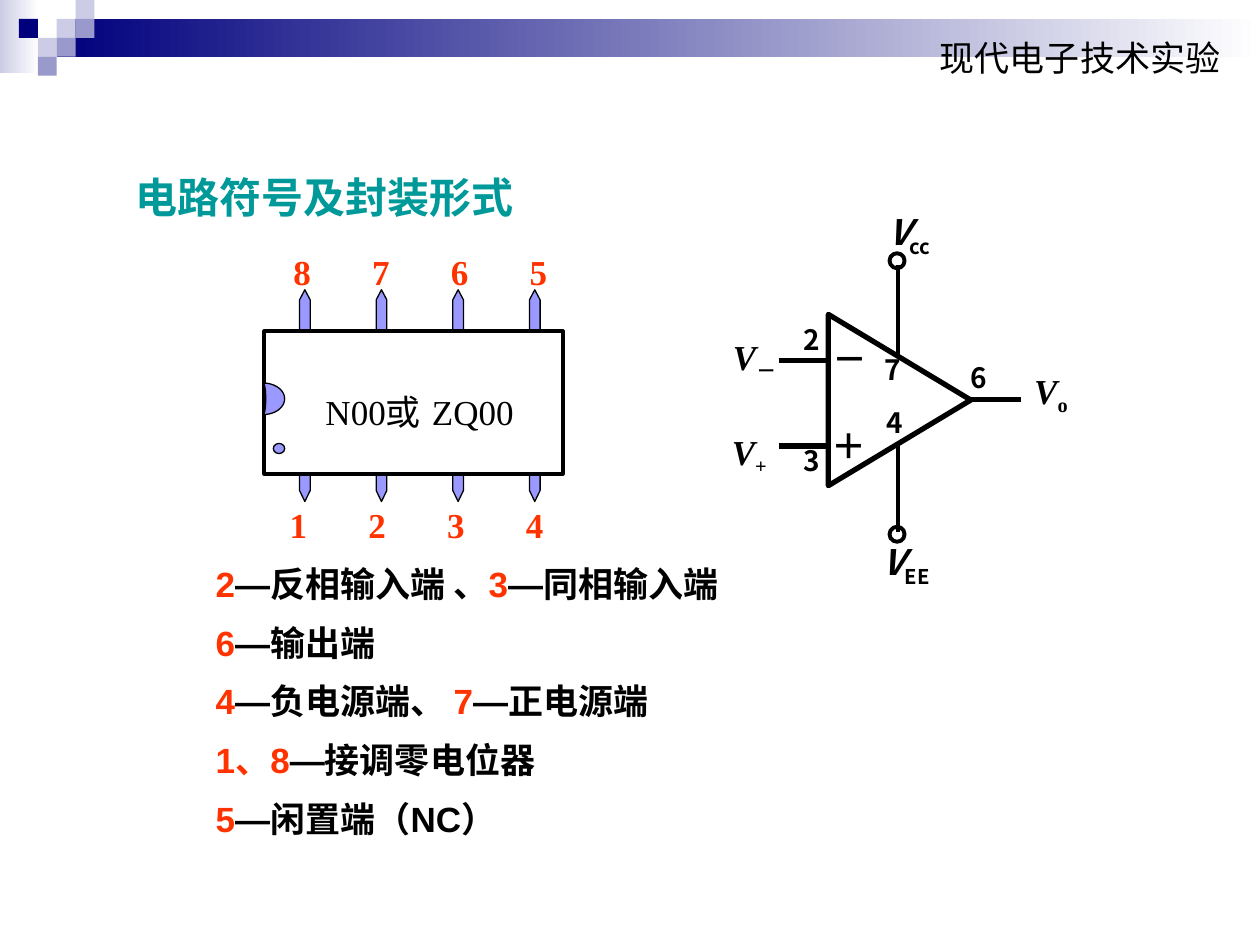
from dataclasses import dataclass
from math import cos, pi, sin

from lxml import etree
from pptx import Presentation
from pptx.dml.color import RGBColor
from pptx.enum import shapes, text
from pptx.oxml.ns import qn
from pptx.util import Pt


@dataclass(frozen=True)
class Theme:
    """Colours, fonts and type sizes."""
    ink: str = "000000"
    paper: str = "FFFFFF"
    navy: str = "00007D"
    pale: str = "CCCCE6"
    mid: str = "9999CC"
    pin: str = "9999FF"
    red: str = "FF3300"
    teal: str = "009999"
    sans: str = "Arial"
    serif: str = "Times New Roman"
    noto: str = "Noto Sans CJK SC"
    small: int = 16
    body: int = 20
    title: int = 24
    wide: int = 28


T = Theme()
KIND = shapes.MSO_SHAPE


def rgb(code):
    """Turn a hex code into a colour."""
    return RGBColor.from_string(code)


def add(par, words, face=T.sans, size=T.body, ink=T.ink, bold=True, slant=False, sub=False):
    """Add one run to a paragraph."""
    run = par.add_run()
    run.text = words
    font = run.font
    font.name, font.size, font.bold, font.italic = face, Pt(size), bold, slant
    font.color.rgb = rgb(ink)
    if sub:
        run._r.get_or_add_rPr().set("baseline", "-25000")


def pane(slide, box):
    """Add a wrapping text box and return its frame."""
    frame = slide.shapes.add_textbox(*map(Pt, box)).text_frame
    frame.word_wrap = True
    return frame


def label(slide, box, words, **style):
    """Add a text box with a single run."""
    add(pane(slide, box).paragraphs[0], words, **style)


def paint(shape, fill=None, line=None):
    """Set fill and line width of a shape, without shadow."""
    shape.shadow.inherit = False
    if fill:
        shape.fill.solid()
        shape.fill.fore_color.rgb = rgb(fill)
    else:
        shape.fill.background()
    if line:
        shape.line.color.rgb = rgb(T.ink)
        shape.line.width = Pt(line)
    else:
        shape.line.fill.background()
    return shape


def form(slide, kind, box, fill=None, line=None):
    """Add a preset shape."""
    return paint(slide.shapes.add_shape(kind, *map(Pt, box)), fill, line)


def outline(slide, dots, fill, line):
    """Add a closed freeform through the given points."""
    dots = [(Pt(x), Pt(y)) for x, y in dots]
    build = slide.shapes.build_freeform(*dots[0], scale=1.0)
    build.add_line_segments(dots[1:], close=True)
    return paint(build.convert_to_shape(), fill, line)


def wire(slide, ends, width):
    """Add a straight line."""
    line = slide.shapes.add_connector(shapes.MSO_CONNECTOR.STRAIGHT, *map(Pt, ends))
    line.line.color.rgb = rgb(T.ink)
    line.line.width = Pt(width)
    etree.SubElement(line._element.spPr, qn("a:effectLst"))


def fade(slide, box, first):
    """Add a bar that fades to the paper colour."""
    bar = form(slide, KIND.RECTANGLE, box, first)
    bar.fill.gradient()
    bar.fill.gradient_angle = 0
    for stop, ink in zip(bar.fill.gradient_stops, (first, T.paper)):
        stop.color.rgb = rgb(ink)


def banner(slide, box):
    """Draw the top band with its squares and the course name."""
    x, y, w, h = box
    side = 10.8
    fade(slide, (x, y, 22.3, h), T.pale)
    fade(slide, (x + 32.4, y + side, w - 32.4, 2 * side), T.navy)
    cells = ((3, 1, T.pale), (4, 0, T.pale), (4, 1, T.mid), (2, 2, T.pale),
             (1, 1, T.navy), (3, 2, T.mid), (2, 3, T.mid))
    for col, row, ink in cells:
        spot = (x + col * side, y + row * side, side, side)
        form(slide, KIND.RECTANGLE, spot, ink)
    label(slide, (x + 530, y + 17.3, 175.7, 31.7), "现代电子技术实验", bold=False)


def row(slide, box, marks, step):
    """Write pin numbers at equal tab stops."""
    par = pane(slide, box).paragraphs[0]
    tabs = etree.SubElement(par._p.get_or_add_pPr(), qn("a:tabLst"))
    for i in range(1, len(marks)):
        etree.SubElement(tabs, qn("a:tab"), pos=str(Pt(i * step)), algn="l")
    add(par, "\t".join(marks), face=T.serif, ink=T.red)


def chip(slide, box):
    """Draw the eight-pin package."""
    x, y, w, h = box
    half = 3.05
    for base, neck, tip in ((49.4, 31.4, 25.6), (130, 140.3, 146.6)):
        for i in range(4):
            mid = x + 24.2 + 43.8 * i
            dots = ((half, base), (half, neck), (0, tip), (-half, neck), (-half, base))
            outline(slide, [(mid + dx, y + dy) for dx, dy in dots], T.pin, 0.75)
    body = form(slide, KIND.RECTANGLE, (x + 1, y + 49.4, w, 81.4), T.paper, 2.25)
    frame = body.text_frame
    frame.word_wrap = True
    frame.vertical_anchor = text.MSO_ANCHOR.TOP
    frame.margin_left, frame.margin_top = Pt(35), Pt(25.7)
    par = frame.paragraphs[0]
    par.alignment = text.PP_ALIGN.LEFT
    for words, size in (("N00或", T.body), (" ", T.wide), ("ZQ00", T.body)):
        add(par, words, face=T.serif, size=size, bold=False)
    turns = [pi * i / 24 - pi / 2 for i in range(25)]
    arc = [(12.2 * cos(a), 9 * sin(a)) for a in turns]
    arc += [(1.4 * cos(a), 9 * sin(a)) for a in turns[-2:0:-1]]
    outline(slide, [(x + 0.5 + dx, y + 87.9 + dy) for dx, dy in arc], T.pin, 0.75)
    form(slide, KIND.OVAL, (x + 6.2, y + 113.4, 6.5, 5.8), T.pin, 0.75)
    row(slide, (x + 10.6, y - 0.3, 160, 31.7), "8765", 45)
    row(slide, (x + 8.4, y + 144.4, 161, 31.7), "1234", 45)


def amp(slide, box):
    """Draw the amplifier symbol with its terminals."""
    x, y, w, h = box
    form(slide, KIND.ISOSCELES_TRIANGLE, (x + 55.1, y + 71.9, 97.9, 81.4), line=3).rotation = 90
    for left, right, level in ((35, 63.8, 89.9), (35, 63.8, 138.9), (145.1, 173.2, 112.2)):
        wire(slide, (x + left, y + level, x + right, y + level), 3)
    for start, end, ring in ((86.3, 35.2, 28.7), (187.8, 136.7, 185)):
        wire(slide, (x + 103.2, y + start, x + 103.2, y + end), 2.25)
        form(slide, KIND.OVAL, (x + 98.3, y + ring, 8.6, 8.6), line=2.25)
    for sign, dx, dy in (("＋", 58, 123), ("－", 58.7, 73.4)):
        label(slide, (x + dx, y + dy, 43.2, 31.7), sign, face=T.serif)
    pins = (("2", 42.2, 64.7), ("3", 42.2, 133.8), ("4", 89.7, 112.2),
            ("6", 137.2, 86.3), ("7", 88.2, 82))
    for mark, dx, dy in pins:
        label(slide, (x + dx, y + dy, 23, 26.6), mark, face=T.noto, size=T.small)
    volts = (("－", 1.8, 71.9, 72, T.serif), ("+", 1.1, 126.2, 52.6, T.serif),
             ("o", 173.9, 91.4, 42.5, T.serif), ("cc", 90.4, 0.6, 45.4, T.noto),
             ("EE", 87.5, 189.3, 45.4, T.noto))
    for low, dx, dy, wide, face in volts:
        par = pane(slide, (x + dx, y + dy, wide, 34.6)).paragraphs[0]
        add(par, "V", face=face, slant=True)
        add(par, low, face=face, sub=True)


def legend(slide, box):
    """List what each pin does."""
    lines = (
        (("2", "—反相输入端 、"), ("3", "—同相输入端")),
        (("6", "—输出端"),),
        (("4", "—负电源端、 "), ("7", "—正电源端")),
        (("1、8", "—接调零电位器"),),
        (("5", "—闲置端（NC）"),),
    )
    frame = pane(slide, box)
    for i, line in enumerate(lines):
        par = frame.add_paragraph() if i else frame.paragraphs[0]
        par.line_spacing = 1.4
        for mark, role in line:
            add(par, mark, ink=T.red)
            add(par, role)


def main():
    """Build and save the slide."""
    deck = Presentation()
    deck.slide_width, deck.slide_height = Pt(720), Pt(540)
    slide = deck.slides.add_slide(deck.slide_layouts[6])
    banner(slide, (0, 0, 720, 41.8))
    label(slide, (70.6, 94.3, 260.6, 36), "电路符号及封装形式", size=T.title, ink=T.teal)
    chip(slide, (150, 140, 170.6, 176))
    amp(slide, (410, 116, 216, 224))
    legend(slide, (116.2, 308.2, 442, 175))
    deck.save("out.pptx")


if __name__ == "__main__":
    main()
